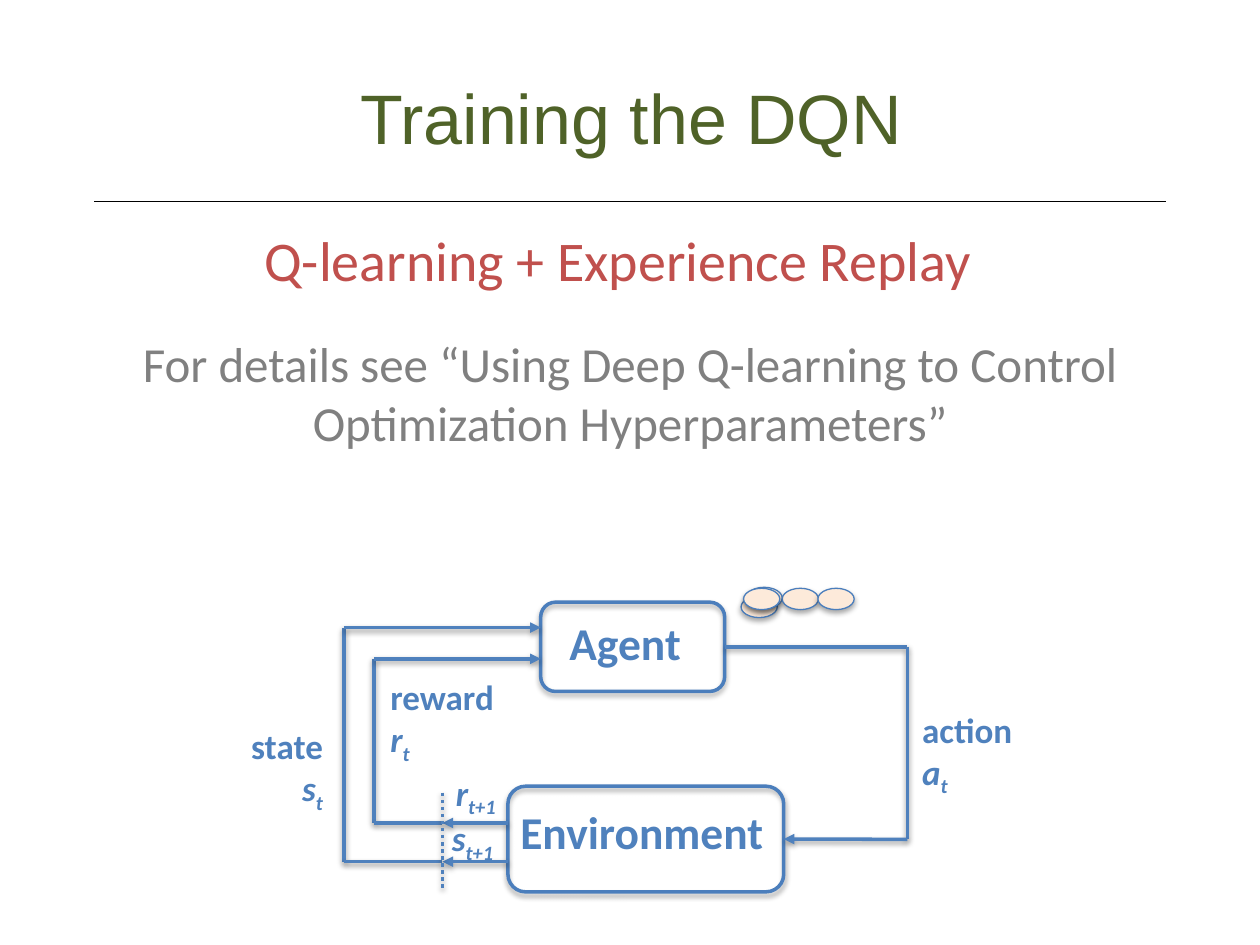
from lxml import etree
from pptx import Presentation
from pptx.dml.color import RGBColor
from pptx.enum.dml import MSO_LINE
from pptx.enum.shapes import MSO_CONNECTOR, MSO_SHAPE
from pptx.enum.text import MSO_ANCHOR, PP_ALIGN
from pptx.oxml import parse_xml
from pptx.oxml.ns import nsdecls, qn
from pptx.util import Cm, Pt

COLORS = {"title": "4F6228", "accent": "C0504D", "note": "808080", "blue": "4F81BD",
          "edge": "4B7EBC", "peach": "FDEADA", "black": "000000"}


def add_shadow(shape, dist, alpha):
    shape._element.spPr.append(parse_xml(
        f'<a:effectLst {nsdecls("a")}><a:outerShdw blurRad="40000" dist="{dist}" '
        f'dir="5400000" rotWithShape="0"><a:srgbClr val="000000">'
        f'<a:alpha val="{alpha}"/></a:srgbClr></a:outerShdw></a:effectLst>'))


def add_text(box, lines, size, color, font="Calibri", bold=False,
             align=PP_ALIGN.LEFT, anchor=MSO_ANCHOR.TOP):
    tf = s.shapes.add_textbox(*map(Cm, box)).text_frame
    tf.word_wrap = True
    tf.vertical_anchor = anchor
    for i, line in enumerate(lines):
        p = tf.paragraphs[0] if i == 0 else tf.add_paragraph()
        p.alignment = align
        f = p.font
        f.name, f.size, f.bold = font, Pt(size), bold
        f.color.rgb = RGBColor.from_string(COLORS[color])
        base, _, sub = line.partition("_")
        p.add_run().text = base
        if sub:
            f.italic = True
            r = p.add_run()
            r.text = sub
            r._r.get_or_add_rPr().set("baseline", "-25000")


prs = Presentation()
prs.slide_width, prs.slide_height = Cm(25.4), Cm(19.05)
s = prs.slides.add_slide(prs.slide_layouts[6])

add_text((0.97, 0.69, 23.5, 3.3), ["Training the DQN"], 40, "title", font="Arial",
         align=PP_ALIGN.CENTER, anchor=MSO_ANCHOR.MIDDLE)
rule = s.shapes.add_connector(MSO_CONNECTOR.STRAIGHT, Cm(1.9), Cm(4.06), Cm(23.5), Cm(4.06))
rule.line.width = Pt(0.75)
rule.line.color.rgb = RGBColor.from_string(COLORS["black"])
etree.SubElement(rule._element.spPr, qn("a:effectLst"))
add_text((5.08, 4.42, 15.6, 1.88), ["Q-learning + Experience Replay"], 32, "accent")
add_text((0.3, 6.6, 24.8, 3.56),
         ["For details see “Using Deep Q-learning to Control Optimization Hyperparameters”"],
         28, "note", align=PP_ALIGN.CENTER)

boxes = []
for box in [(10.9, 12.14, 3.71, 1.8), (10.24, 15.85, 5.56, 2.13)]:
    sp = s.shapes.add_shape(MSO_SHAPE.ROUNDED_RECTANGLE, *map(Cm, box))
    sp.fill.background()
    sp.line.width = Pt(2)
    sp.line.color.rgb = RGBColor.from_string(COLORS["edge"])
    add_shadow(sp, 23000, 35000)
    boxes.append(sp)
agent, environment = boxes

state_x, reward_x, split_x, action_x = 6.93, 7.54, 8.92, 18.29
state_y, reward_y, agent_y = 12.65, 13.28, 13.04
next_reward_y, next_state_y, env_y = 16.59, 17.37, 16.92
agent_left, agent_right, env_left, env_right = 10.9, 14.61, 10.24, 15.8

wires = [
    (agent_right, agent_y, action_x, agent_y, False),
    (action_x, agent_y, action_x, env_y, False),
    (action_x, env_y, env_right, env_y, True),
    (state_x, state_y, state_x, next_state_y, False),
    (reward_x, reward_y, reward_x, next_reward_y, False),
    (state_x, state_y, agent_left, state_y, True),
    (reward_x, reward_y, agent_left, reward_y, True),
    (reward_x, next_reward_y, split_x, next_reward_y, False),
    (state_x, next_state_y, split_x, next_state_y, False),
    (env_left, next_reward_y, split_x, next_reward_y, True),
    (env_left, next_state_y, split_x, next_state_y, True),
    (split_x, 15.98, split_x, 17.96, False),
]
connectors = []
for *ends, arrow in wires:
    c = s.shapes.add_connector(MSO_CONNECTOR.STRAIGHT, *map(Cm, ends))
    c.line.width = Pt(2)
    c.line.color.rgb = RGBColor.from_string(COLORS["blue"])
    if arrow:
        etree.SubElement(c.line._get_or_add_ln(), qn("a:tailEnd"), type="triangle")
    add_shadow(c, 20000, 38000)
    connectors.append(c)
connectors[0].begin_connect(agent, 3)
connectors[2].end_connect(environment, 3)
connectors[-1].line.dash_style = MSO_LINE.ROUND_DOT

for x, y in [(14.94, 12.02), (15.04, 11.84), (15.77, 11.86), (16.49, 11.86), (14.99, 11.86)]:
    sp = s.shapes.add_shape(MSO_SHAPE.OVAL, Cm(x), Cm(y), Cm(0.73), Cm(0.43))
    sp.fill.solid()
    sp.fill.fore_color.rgb = RGBColor.from_string(COLORS["peach"])
    sp.line.width = Pt(0.75)
    sp.line.color.rgb = RGBColor.from_string(COLORS["edge"])
    add_shadow(sp, 23000, 35000)

add_text((11.23, 12.27, 4.24, 1.37), ["Agent"], 26, "blue", bold=True)
add_text((10.24, 16.08, 6.6, 1.37), ["Environment"], 26, "blue", bold=True)
for x, y, lines, align in [
    (18.34, 14.15, ["action", "a_t"], PP_ALIGN.LEFT),
    (4.09, 14.48, ["state", "s_t"], PP_ALIGN.RIGHT),
    (7.62, 13.49, ["reward", "r_t"], PP_ALIGN.LEFT),
    (8.94, 15.42, ["r_t+1"], PP_ALIGN.LEFT),
    (8.86, 16.33, ["s_t+1"], PP_ALIGN.LEFT),
]:
    add_text((x, y, 2.67, 0.28 + 0.84 * len(lines)), lines, 20, "blue", bold=True, align=align)

prs.save("out.pptx")
